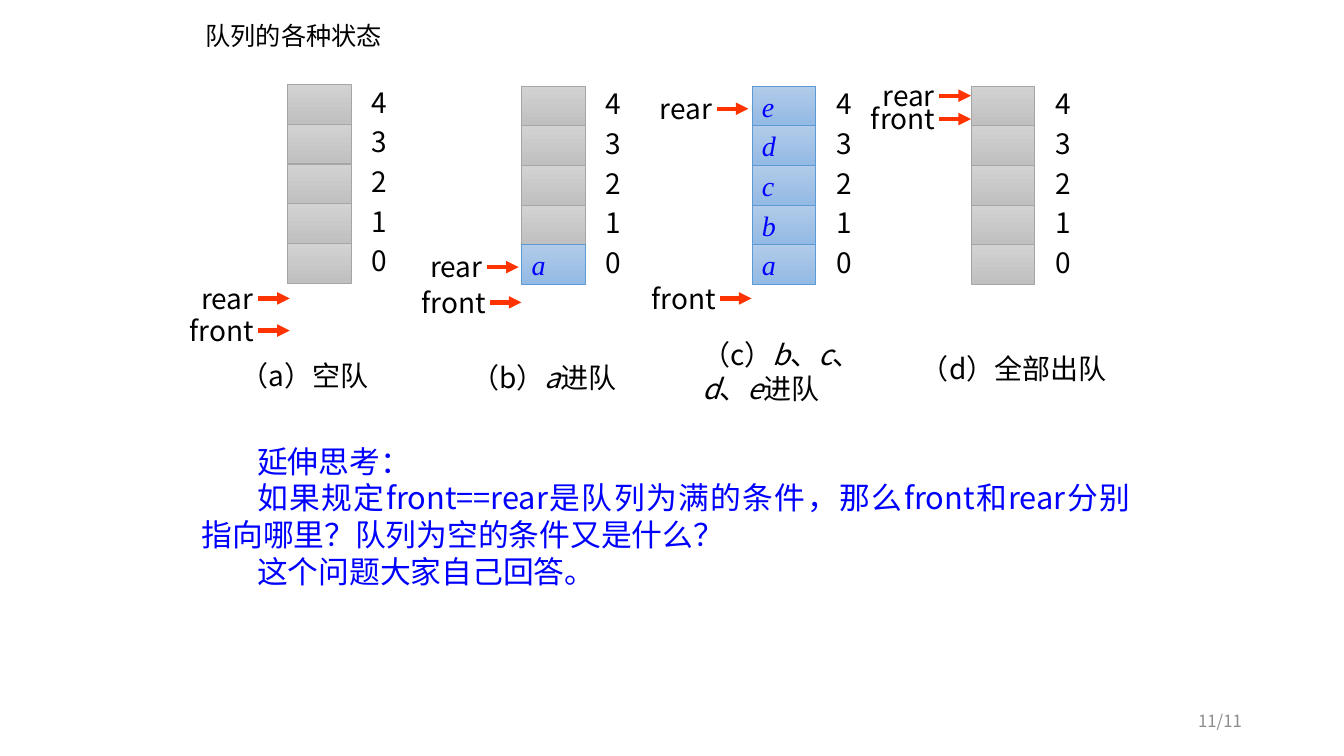
import pptx
import pptx.dml.color
import pptx.enum.dml
import pptx.enum.shapes
import pptx.enum.text
import pptx.oxml
import pptx.oxml.ns
import pptx.util
import lxml.etree

Cm = pptx.util.Cm
Pt = pptx.util.Pt
RGBColor = pptx.dml.color.RGBColor
ALIGN = pptx.enum.text.PP_ALIGN
ANCHOR = pptx.enum.text.MSO_ANCHOR

SANS = "Noto Sans CJK SC"
SERIF = "Times New Roman"

BLACK = RGBColor(0x00, 0x00, 0x00)
BLUE = RGBColor(0x00, 0x00, 0xFF)
PAGE_GREY = RGBColor(0x8C, 0x8C, 0x8C)
ARROW_RED = RGBColor(0xFF, 0x33, 0x00)
EMPTY_TOP = RGBColor(0xD2, 0xD2, 0xD2)
EMPTY_BOTTOM = RGBColor(0xC0, 0xC0, 0xC0)
EMPTY_EDGE = RGBColor(0xA5, 0xA5, 0xA5)
FULL_TOP = RGBColor(0xB1, 0xCB, 0xE9)
FULL_BOTTOM = RGBColor(0x93, 0xB9, 0xE4)
FULL_EDGE = RGBColor(0x5B, 0x9B, 0xD5)

# All lengths below are in centimetres.
CAPACITY = 5
CELL_WIDTH, CELL_HEIGHT = 1.61, 1.0
INDEX_OFFSET, INDEX_RISE, INDEX_WIDTH = 1.87, 0.11, 1.19
LABEL_HEIGHT, LABEL_RISE = 1.09, 0.56
ARROW_LENGTH = 0.8
# Pointer name: (distance of label box left of its arrow, label width)
POINTER_LABELS = {"rear": (1.68, 2.01), "front": (1.97, 2.41)}

# left, top, stored elements from index 0 up, pointers (name, arrow x, arrow y)
QUEUES = [
    (7.24, 2.13, "", [("rear", 6.5, 7.52), ("front", 6.5, 8.33)]),
    (13.15, 2.17, "a", [("front", 12.34, 7.62), ("rear", 12.27, 6.73)]),
    (18.95, 2.17, "abcde", [("front", 18.14, 7.52), ("rear", 18.06, 2.74)]),
    (24.47, 2.17, "", [("front", 23.67, 3.0), ("rear", 23.67, 2.41)]),
]

# text (italics between asterisks), left, top, width, height
CAPTIONS = [
    ("（a）空队", 5.82, 8.92, 3.99, 1.09),
    ("（b）*a*进队", 11.63, 8.97, 4.8, 1.09),
    ("（c）*b*、*c*、*d*、*e*进队", 17.45, 8.38, 4.5, 1.96),
    ("（d）全部出队", 22.96, 8.74, 5.18, 1.12),
]

QUESTION = [
    "延伸思考：",
    "如果规定front==rear是队列为满的条件，那么front和rear分别指向哪里？队列为空的条件又是什么？",
    "这个问题大家自己回答。",
]


def write_text(frame, *paragraphs, size=20, font=SANS, color=BLACK,
               align=ALIGN.LEFT, indent=0):
    """Fill a text frame; text between asterisks is set in italics."""
    for number, content in enumerate(paragraphs):
        paragraph = frame.paragraphs[0] if number == 0 else frame.add_paragraph()
        paragraph.alignment = align
        if indent:
            paragraph._p.get_or_add_pPr().set("indent", str(Cm(indent)))
        for part, words in enumerate(content.split("*")):
            if not words:
                continue
            run = paragraph.add_run()
            run.text = words
            run.font.size = Pt(size)
            run.font.name = font
            run.font.italic = part % 2 == 1
            run.font.color.rgb = color
            east_asian = lxml.etree.SubElement(
                run._r.get_or_add_rPr(), pptx.oxml.ns.qn("a:ea"))
            east_asian.set("typeface", font)


def add_text(shapes, left, top, width, height, *paragraphs,
             anchor=ANCHOR.TOP, **text_format):
    frame = shapes.add_textbox(Cm(left), Cm(top), Cm(width), Cm(height)).text_frame
    frame.word_wrap = True
    frame.vertical_anchor = anchor
    write_text(frame, *paragraphs, **text_format)


def add_cell(shapes, left, top, element):
    cell = shapes.add_shape(pptx.enum.shapes.MSO_SHAPE.RECTANGLE, Cm(left), Cm(top),
                            Cm(CELL_WIDTH), Cm(CELL_HEIGHT))
    cell.shadow.inherit = False
    cell.fill.gradient()
    cell.fill.gradient_angle = 270
    upper, lower = cell.fill.gradient_stops
    upper.position, lower.position = 0, 1
    upper.color.rgb = FULL_TOP if element else EMPTY_TOP
    lower.color.rgb = FULL_BOTTOM if element else EMPTY_BOTTOM
    cell.line.color.rgb = FULL_EDGE if element else EMPTY_EDGE
    cell.line.width = Pt(0.5)
    if element:
        cell.text_frame.word_wrap = False
        cell.text_frame.vertical_anchor = ANCHOR.MIDDLE
        write_text(cell.text_frame, f"*{element}*", font=SERIF, color=BLUE)


def add_pointer(shapes, name, x, y):
    """Add a red arrow starting at (x, y) with its label on the left."""
    arrow = shapes.add_connector(pptx.enum.shapes.MSO_CONNECTOR.STRAIGHT,
                                 Cm(x), Cm(y), Cm(x + ARROW_LENGTH), Cm(y))
    arrow.line.color.rgb = ARROW_RED
    arrow.line.width = Pt(3)
    head = lxml.etree.SubElement(arrow.line._get_or_add_ln(),
                                 pptx.oxml.ns.qn("a:tailEnd"))
    head.set("type", "triangle")
    lxml.etree.SubElement(arrow._element.spPr, pptx.oxml.ns.qn("a:effectLst"))
    distance, width = POINTER_LABELS[name]
    add_text(shapes, x - distance, y - LABEL_RISE, width, LABEL_HEIGHT, name)


def add_queue(slide, left, top, elements, pointers):
    shapes = slide.shapes.add_group_shape().shapes
    for index in reversed(range(CAPACITY)):
        cell_top = top + (CAPACITY - 1 - index) * CELL_HEIGHT
        add_cell(shapes, left, cell_top, elements[index:index + 1])
        add_text(shapes, left + INDEX_OFFSET, cell_top - INDEX_RISE,
                 INDEX_WIDTH, LABEL_HEIGHT, str(index))
    for name, x, y in pointers:
        add_pointer(shapes, name, x, y)


def main():
    deck = pptx.Presentation()
    deck.slide_width, deck.slide_height = Cm(33.87), Cm(19.05)
    slide = deck.slides.add_slide(deck.slide_layouts[6])

    add_text(slide.shapes, 4.93, 0.38, 7.85, 1.02, "队列的各种状态", size=18)
    for queue in QUEUES:
        add_queue(slide, *queue)
    for caption, *place in CAPTIONS:
        add_text(slide.shapes, *place, caption)
    add_text(slide.shapes, 23.93, 17.65, 7.62, 1.02, "11/11", size=12,
             color=PAGE_GREY, align=ALIGN.RIGHT, anchor=ANCHOR.MIDDLE)
    add_text(slide.shapes, 4.83, 11.02, 23.9, 4.01, *QUESTION, size=22,
             color=BLUE, align=ALIGN.JUSTIFY, indent=1.4)

    deck.save("out.pptx")


if __name__ == "__main__":
    main()
